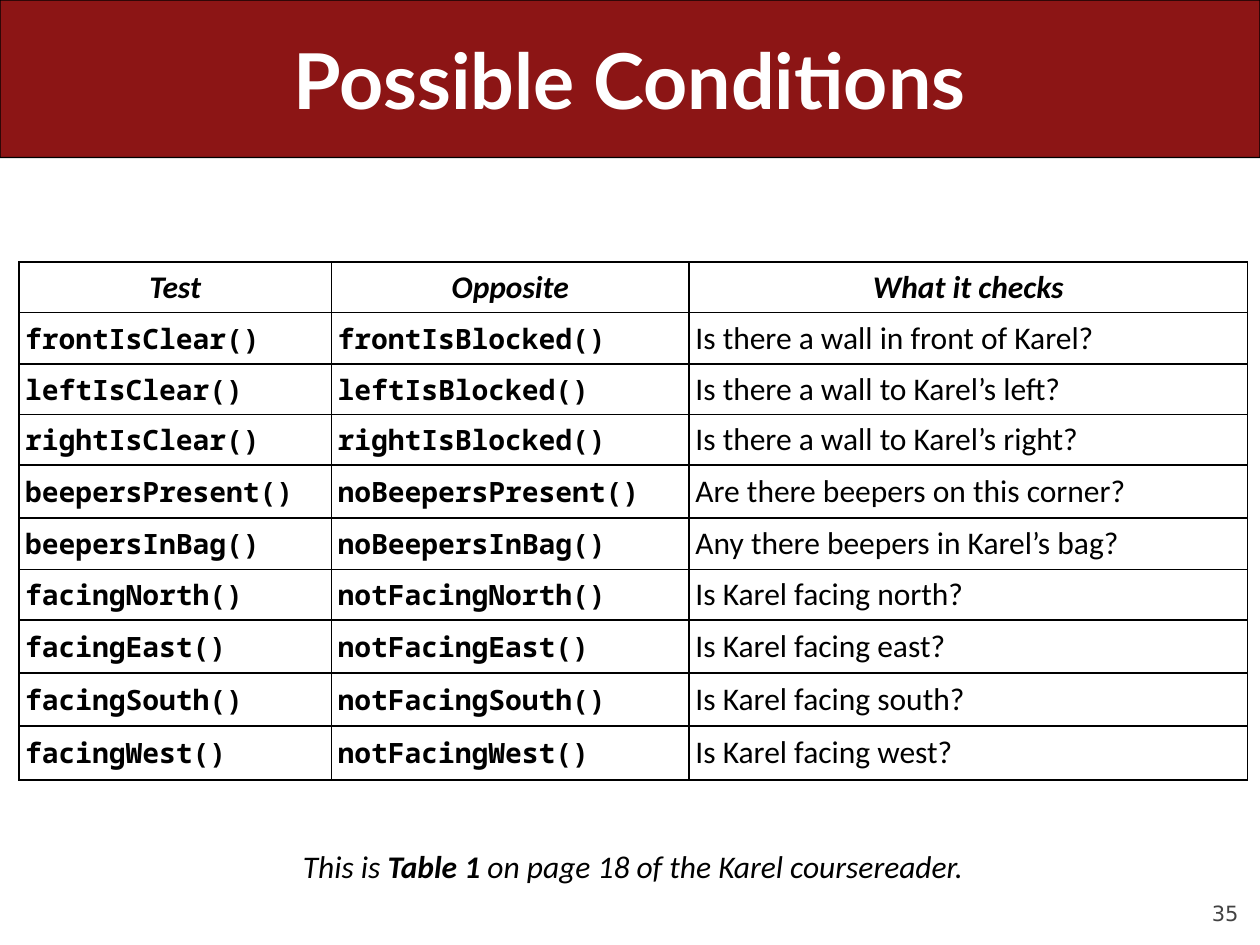
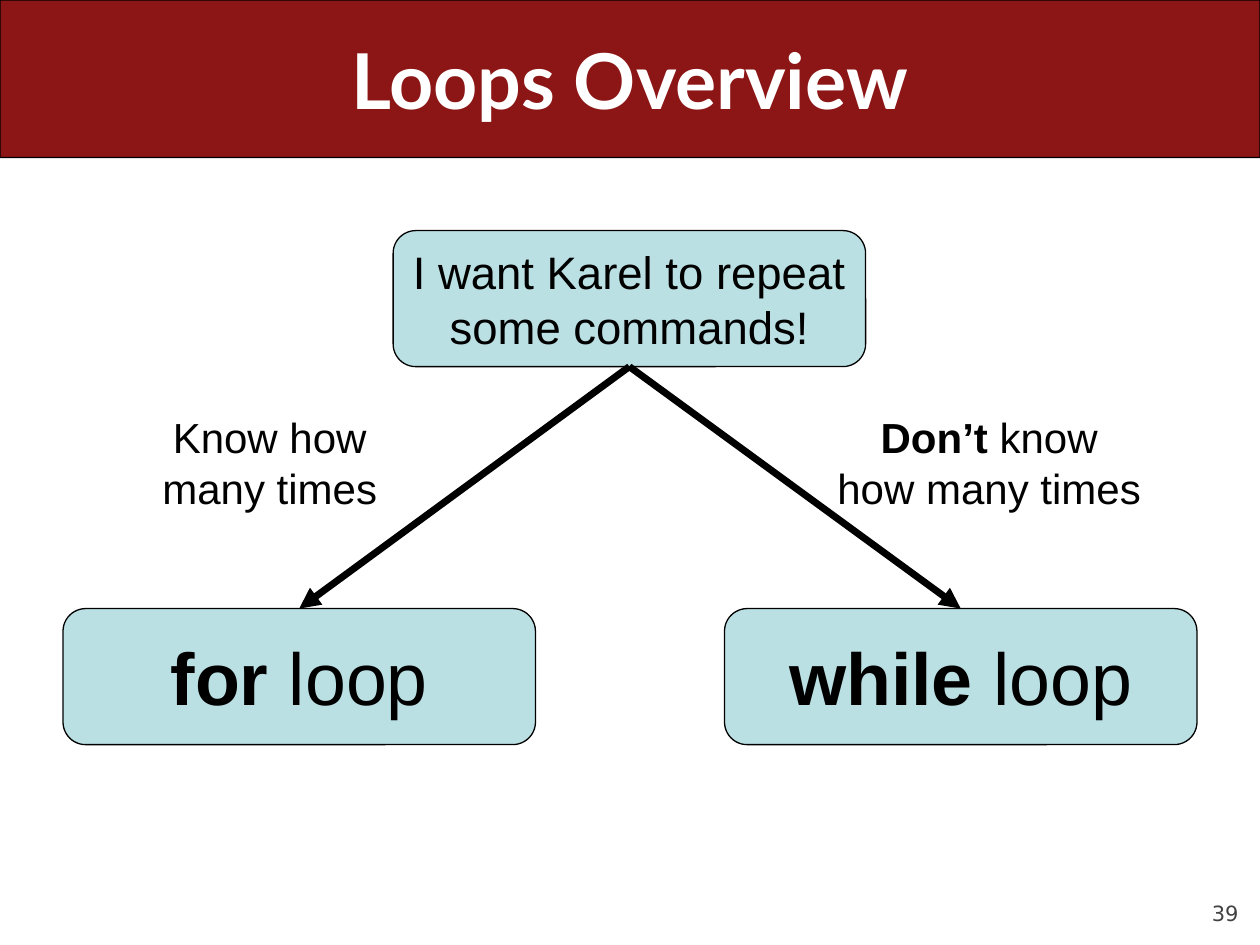
from dataclasses import dataclass

from lxml.etree import SubElement
from pptx import Presentation
from pptx.dml.color import RGBColor
from pptx.enum.shapes import MSO_CONNECTOR, MSO_SHAPE
from pptx.enum.text import MSO_ANCHOR as Anchor, PP_ALIGN as Align
from pptx.oxml import parse_xml
from pptx.oxml.ns import nsdecls, qn
from pptx.shapes.autoshape import Shape
from pptx.slide import Slide
from pptx.table import _Cell as Cell
from pptx.text.text import TextFrame
from pptx.util import Inches, Pt


@dataclass(frozen=True)
class Theme:
    band: str = "8C1515"
    box: str = "BBE0E3"
    ink: str = "000000"
    paper: str = "FFFFFF"
    muted: str = "424242"
    title_font: str = "Lato"
    table_font: str = "Calibri"
    code_font: str = "Noto Sans Mono"
    diagram_font: str = "Arial"
    number_font: str = "DejaVu Sans"
    title_size: float = 44
    loop_size: float = 42
    goal_size: float = 26
    label_size: float = 24
    table_size: float = 18
    code_size: float = 16
    number_size: float = 12
    outline: float = 0.75
    arrow: float = 4
    border: float = 1


THEME = Theme()


@dataclass(frozen=True)
class Style:
    font: str
    size: float
    color: str = THEME.ink
    italic: bool = False


@dataclass(frozen=True)
class Run:
    text: str
    bold: bool = False


@dataclass(frozen=True)
class Area:
    left: float
    top: float
    width: float
    height: float

    def lengths(self) -> list[Inches]:
        return [Inches(value) for value in (self.left, self.top, self.width, self.height)]


@dataclass(frozen=True)
class TextItem:
    area: Area
    runs: list[Run]
    style: Style


TITLE = Style(THEME.title_font, THEME.title_size, THEME.paper)
NUMBER = Style(THEME.number_font, THEME.number_size, THEME.muted)
HEADING = Style(THEME.table_font, THEME.table_size, italic=True)
BODY = Style(THEME.table_font, THEME.table_size)
CODE = Style(THEME.code_font, THEME.code_size)
GOAL = Style(THEME.diagram_font, THEME.goal_size)
LOOP = Style(THEME.diagram_font, THEME.loop_size)
LABEL = Style(THEME.diagram_font, THEME.label_size)

BAND = Area(0, 0, 10, 1.25)
TABLE = Area(0.15, 2.08, 9.75, 4.04)
COLUMN_WIDTHS = [2.48, 2.84, 4.43]
ROW_HEIGHTS = [0.35, 0.41, 0.39, 0.39, 0.42, 0.41, 0.4, 0.42, 0.42, 0.43]
CELL_MARGIN = 0.05
HEADINGS = ("Test", "Opposite", "What it checks")
CONDITIONS = [
    ("frontIsClear()", "frontIsBlocked()", "Is there a wall in front of Karel?"),
    ("leftIsClear()", "leftIsBlocked()", "Is there a wall to Karel’s left?"),
    ("rightIsClear()", "rightIsBlocked()", "Is there a wall to Karel’s right?"),
    ("beepersPresent()", "noBeepersPresent()", "Are there beepers on this corner?"),
    ("beepersInBag()", "noBeepersInBag()", "Any there beepers in Karel’s bag?"),
    ("facingNorth()", "notFacingNorth()", "Is Karel facing north?"),
    ("facingEast()", "notFacingEast()", "Is Karel facing east?"),
    ("facingSouth()", "notFacingSouth()", "Is Karel facing south?"),
    ("facingWest()", "notFacingWest()", "Is Karel facing west?"),
]
TABLE_NOTE = TextItem(
    Area(0.44, 6.67, 9.17, 0.4),
    [Run("This is "), Run("Table 1", True), Run(" on page 18 of the Karel coursereader.")],
    HEADING,
)

GOAL_BOX = TextItem(
    Area(3.12, 1.83, 3.75, 1.08), [Run("I want Karel to repeat some commands!")], GOAL
)
LOOP_BOXES = [
    TextItem(Area(0.5, 4.83, 3.75, 1.08), [Run("for", True), Run(" loop")], LOOP),
    TextItem(Area(5.75, 4.83, 3.75, 1.08), [Run("while ", True), Run("loop")], LOOP),
]
BRANCH_LABELS = [
    TextItem(Area(0.83, 3.22, 2.62, 0.91), [Run("Know how many times")], LABEL),
    TextItem(
        Area(6.54, 3.22, 2.62, 0.91), [Run("Don’t ", True), Run("know how many times")], LABEL
    ),
]
BOTTOM_SITE, TOP_SITE = 2, 0


def write(frame: TextFrame, runs: list[Run], style: Style, align: Align = Align.CENTER) -> None:
    paragraph = frame.paragraphs[0]
    paragraph.alignment = align
    for item in runs:
        run = paragraph.add_run()
        run.text = item.text
        font = run.font
        font.name, font.size = style.font, Pt(style.size)
        font.bold, font.italic = item.bold, style.italic
        font.color.rgb = RGBColor.from_string(style.color)


def add_text(
    slide: Slide, item: TextItem, anchor: Anchor = Anchor.TOP, align: Align = Align.CENTER
) -> TextFrame:
    frame = slide.shapes.add_textbox(*item.area.lengths()).text_frame
    frame.word_wrap = True
    frame.vertical_anchor = anchor
    write(frame, item.runs, item.style, align)
    return frame


def add_round_box(slide: Slide, area: Area, fill: str) -> Shape:
    shape = slide.shapes.add_shape(MSO_SHAPE.ROUNDED_RECTANGLE, *area.lengths())
    shape.shadow.inherit = False
    shape.fill.solid()
    shape.fill.fore_color.rgb = RGBColor.from_string(fill)
    shape.line.color.rgb = RGBColor.from_string(THEME.ink)
    shape.line.width = Pt(THEME.outline)
    return shape


def add_text_box_shape(slide: Slide, item: TextItem) -> Shape:
    shape = add_round_box(slide, item.area, THEME.box)
    shape.text_frame.word_wrap = True
    shape.text_frame.vertical_anchor = Anchor.MIDDLE
    write(shape.text_frame, item.runs, item.style)
    return shape


def add_arrow(slide: Slide, start: Shape, end: Shape) -> None:
    """Link the bottom of one shape to the top of another."""
    arrow = slide.shapes.add_connector(MSO_CONNECTOR.STRAIGHT, 0, 0, 0, 0)
    arrow.begin_connect(start, BOTTOM_SITE)
    arrow.end_connect(end, TOP_SITE)
    arrow.line.color.rgb = RGBColor.from_string(THEME.ink)
    arrow.line.width = Pt(THEME.arrow)
    SubElement(arrow.line._get_or_add_ln(), qn("a:tailEnd"), type="triangle")
    SubElement(arrow._element.spPr, qn("a:effectLst"))


def add_framed_slide(presentation: Presentation, title: str, number: int) -> Slide:
    """Add a slide with the title band and the page number."""
    slide = presentation.slides.add_slide(presentation.slide_layouts[6])
    number_item = TextItem(Area(9, 6.95, 0.83, 0.4), [Run(str(number))], NUMBER)
    frame = add_text(slide, number_item, Anchor.BOTTOM, Align.RIGHT)
    frame.margin_left = frame.margin_right = frame.margin_top = frame.margin_bottom = 0
    frame.paragraphs[0].space_before = Pt(5)
    add_round_box(slide, BAND, THEME.band).adjustments[0] = 0.001
    add_text(slide, TextItem(Area(0.5, 0, 9, 1.25), [Run(title, True)], TITLE), Anchor.MIDDLE)
    return slide


def style_cell(cell: Cell) -> None:
    """Clear the fill, set the margins and draw the four borders."""
    cell.fill.background()
    margin = Inches(CELL_MARGIN)
    cell.margin_left = cell.margin_right = cell.margin_top = cell.margin_bottom = margin
    properties = cell._tc.get_or_add_tcPr()
    for index, side in enumerate(("lnL", "lnR", "lnT", "lnB")):
        border = parse_xml(
            f'<a:{side} {nsdecls("a")} w="{Pt(THEME.border)}"><a:solidFill>'
            f'<a:srgbClr val="{THEME.ink}"/></a:solidFill></a:{side}>'
        )
        properties.insert(index, border)


def add_conditions_table(slide: Slide) -> None:
    rows = [HEADINGS, *CONDITIONS]
    table = slide.shapes.add_table(len(rows), len(HEADINGS), *TABLE.lengths()).table
    table.first_row = table.horz_banding = False
    for column, width in zip(table.columns, COLUMN_WIDTHS):
        column.width = Inches(width)
    for row, height in zip(table.rows, ROW_HEIGHTS):
        row.height = Inches(height)
    for row_index, texts in enumerate(rows):
        is_heading = row_index == 0
        for column_index, text in enumerate(texts):
            cell = table.cell(row_index, column_index)
            style_cell(cell)
            is_code = not is_heading and column_index < 2
            style = HEADING if is_heading else CODE if is_code else BODY
            cell.vertical_anchor = Anchor.BOTTOM if is_heading else Anchor.MIDDLE
            align = Align.CENTER if is_heading else Align.LEFT
            write(cell.text_frame, [Run(text, is_heading or is_code)], style, align)


def build_conditions(presentation: Presentation) -> None:
    slide = add_framed_slide(presentation, "Possible Conditions", 35)
    add_conditions_table(slide)
    add_text(slide, TABLE_NOTE)


def build_loops(presentation: Presentation) -> None:
    slide = add_framed_slide(presentation, "Loops Overview", 39)
    goal = add_text_box_shape(slide, GOAL_BOX)
    loops = [add_text_box_shape(slide, item) for item in LOOP_BOXES]
    for loop in loops:
        add_arrow(slide, goal, loop)
    for label in BRANCH_LABELS:
        add_text(slide, label)


def main() -> None:
    presentation = Presentation()
    presentation.slide_width, presentation.slide_height = Inches(10), Inches(7.5)
    build_conditions(presentation)
    build_loops(presentation)
    presentation.save("out.pptx")


if __name__ == "__main__":
    main()
